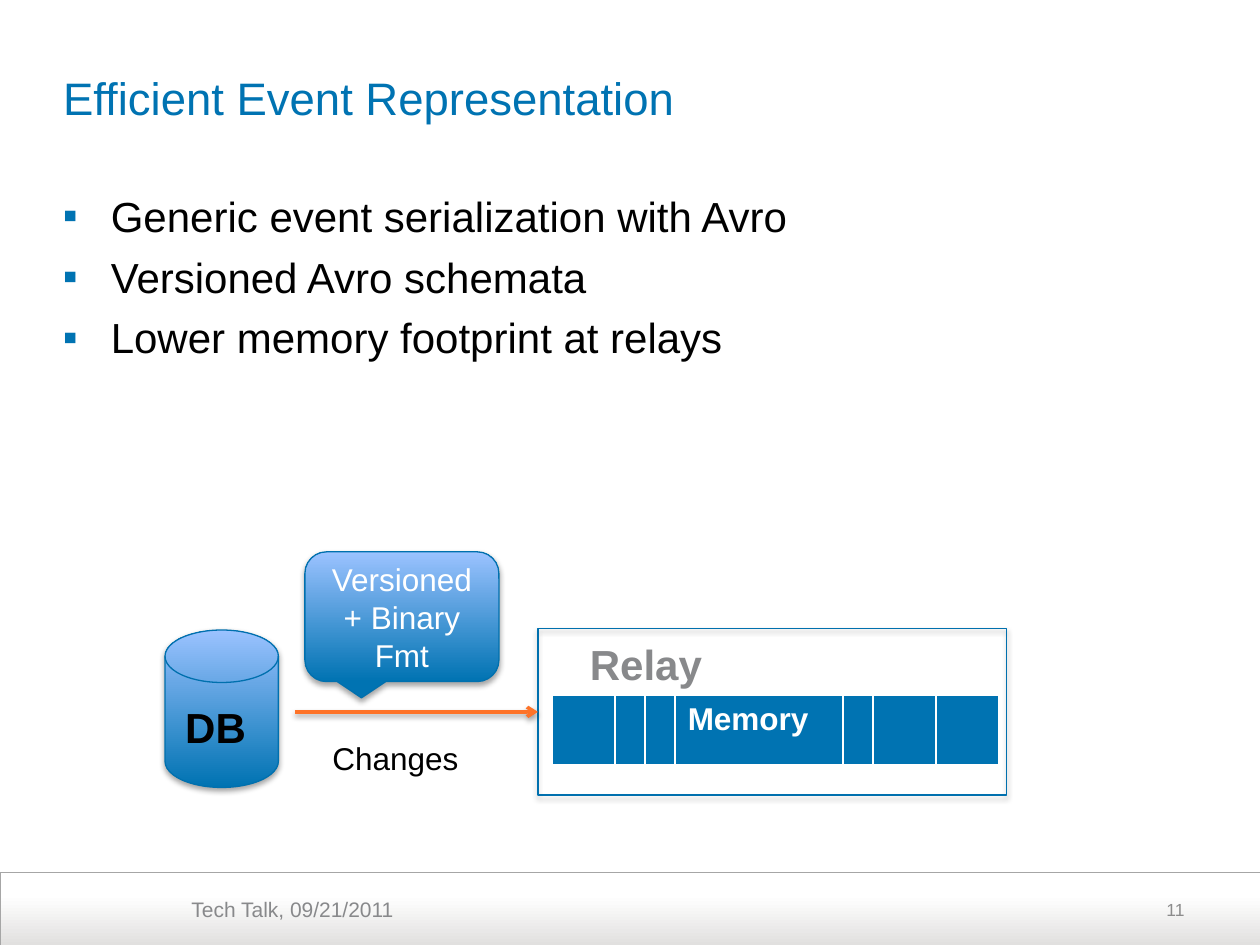
from lxml.etree import SubElement
from pptx import Presentation
from pptx.dml.color import RGBColor
from pptx.enum.shapes import MSO_CONNECTOR, MSO_SHAPE
from pptx.enum.text import MSO_ANCHOR, PP_ALIGN
from pptx.oxml.ns import qn
from pptx.util import Inches, Pt

BLUE = RGBColor(0x00, 0x73, 0xB2)
EDGE = RGBColor(0x00, 0x70, 0xAE)
SKY = RGBColor(0x9B, 0xC2, 0xFF)
ORANGE = RGBColor(0xFE, 0x73, 0x28)
WHITE = RGBColor(0xFF, 0xFF, 0xFF)
BLACK = RGBColor(0x00, 0x00, 0x00)
GRAY = RGBColor(0x88, 0x89, 0x8B)
PALE = RGBColor(0x8C, 0x8C, 0x8C)
SILVER = RGBColor(0xE1, 0xE0, 0xDF)
RIM = RGBColor(0xA6, 0xA6, 0xA6)


def place(shape, left, top, width, height):
    shape.left, shape.top = Inches(left), Inches(top)
    shape.width, shape.height = Inches(width), Inches(height)


def write(frame, lines, size, color, bold=False, align=PP_ALIGN.LEFT):
    frame.word_wrap = True
    frame.text = "\n".join(lines)
    for para in frame.paragraphs:
        para.alignment = align
        font = para.font
        font.name, font.size, font.bold = "Arial", Pt(size), bold
        font.color.rgb = color


def label(slide, box, text, size, color, inset=0.1, **style):
    shape = slide.shapes.add_textbox(*map(Inches, box))
    frame = shape.text_frame
    frame.margin_left = Inches(inset)
    write(frame, [text], size, color, **style)
    return frame


def shade(fill, low, high, stop=1.0):
    """Blend upwards from low to high."""
    fill.gradient()
    fill.gradient_angle = 90
    first, last = fill.gradient_stops
    first.color.rgb, first.position = low, 0
    last.color.rgb, last.position = high, stop


def cast(props, alpha):
    """Add a soft shadow below the part."""
    effects = props.find(qn("a:effectLst"))
    if effects is None:
        effects = SubElement(props, qn("a:effectLst"))
    shadow = SubElement(effects, qn("a:outerShdw"), blurRad="40000",
                        dist="23000", dir="5400000", rotWithShape="0")
    color = SubElement(shadow, qn("a:srgbClr"), val="000000")
    SubElement(color, qn("a:alpha"), val=str(alpha * 1000))


def block(slide, kind, box, filled=True):
    shape = slide.shapes.add_shape(kind, *map(Inches, box))
    if filled:
        shade(shape.fill, BLUE, SKY)
    else:
        shape.fill.background()
    shape.line.color.rgb, shape.line.width = EDGE, Pt(0.75)
    shape.shadow.inherit = False
    cast(shape.element.spPr, 35)
    return shape


def add_title(slide, box, text):
    title = slide.shapes.title
    place(title, *box)
    frame = title.text_frame
    frame.margin_left = frame.margin_right = 0
    frame.vertical_anchor = MSO_ANCHOR.MIDDLE
    write(frame, [text], 26, BLUE)


def add_list(slide, box, items):
    frame = slide.shapes.add_textbox(*map(Inches, box)).text_frame
    frame.margin_left = 0
    write(frame, items, 24, BLACK)
    for para in frame.paragraphs:
        para.space_before = Pt(6)
        props = para._p.get_or_add_pPr()
        props.set("marL", str(Inches(0.38)))
        props.set("indent", str(Inches(-0.38)))
        color = SubElement(props, qn("a:buClr"))
        SubElement(color, qn("a:srgbClr"), val=str(BLUE))
        SubElement(props, qn("a:buFont"), typeface="Arial")
        SubElement(props, qn("a:buChar"), char="▪")


def add_footer(slide, box, text, number):
    left, top, width, height = box
    bar = slide.shapes.add_shape(MSO_SHAPE.RECTANGLE, *map(Inches, box))
    shade(bar.fill, SILVER, WHITE, 0.68)
    bar.line.color.rgb, bar.line.width = RIM, Pt(0.25)
    bar.shadow.inherit = False
    label(slide, (left + 1.52, top + 0.15, 3.1, 0.34), text, 12, GRAY, 0)
    frame = label(slide, (left + width - 2.83, top + 0.1, 2.33, 0.4),
                  number, 10, PALE, align=PP_ALIGN.RIGHT)
    frame.vertical_anchor = MSO_ANCHOR.MIDDLE


def add_store(slide, box):
    left, top, width, height = box
    block(slide, MSO_SHAPE.FLOWCHART_MAGNETIC_DISK, box)
    label(slide, (left, top + 0.52, width, 0.5), "DB", 24, BLACK, 0,
          bold=True, align=PP_ALIGN.CENTER)


def add_memory(slide, box, widths, name, spot):
    frame = slide.shapes.add_table(1, len(widths), *map(Inches, box))
    table = frame.table
    table.rows[0].height = Inches(box[3])
    for index, width in enumerate(widths):
        table.columns[index].width = Inches(width)
        cell = table.cell(0, index)
        write(cell.text_frame, [name if index == spot else ""], 18, WHITE, True)
        props = cell._tc.get_or_add_tcPr()
        for side, points in (("L", 1), ("R", 1), ("T", 1), ("B", 3)):
            edge = SubElement(props, qn("a:ln" + side), w=str(Pt(points)))
            paint = SubElement(edge, qn("a:solidFill"))
            SubElement(paint, qn("a:srgbClr"), val=str(WHITE))
        cell.fill.solid()
        cell.fill.fore_color.rgb = BLUE


def add_relay(slide, box):
    left, top, width, height = box
    add_memory(slide, (left + 0.11, top + 0.53, 3.52, 0.56),
               (0.5, 0.23, 0.23, 1.33, 0.23, 0.5, 0.5), "Memory", 3)
    label(slide, (left + 0.31, top + 0.03, 1.19, 0.5), "Relay", 24, GRAY, 0,
          bold=True, align=PP_ALIGN.CENTER)
    block(slide, MSO_SHAPE.RECTANGLE, box, filled=False)


def add_flow(slide, box):
    left, top, width, height = box
    # Arrow from store to relay
    mid = top + 1.27
    arrow = slide.shapes.add_connector(
        MSO_CONNECTOR.STRAIGHT, Inches(left), Inches(mid),
        Inches(left + width), Inches(mid))
    arrow.line.color.rgb, arrow.line.width = ORANGE, Pt(2)
    props = arrow._element.spPr
    SubElement(props.find(qn("a:ln")), qn("a:tailEnd"), type="arrow")
    cast(props, 38)
    label(slide, (left + 0.2, mid + 0.17, 1.42, 0.4), "Changes", 18, BLACK)
    # Format callout
    note = block(slide, MSO_SHAPE.ROUNDED_RECTANGULAR_CALLOUT,
                 (left + 0.08, top, 1.54, 1.03))
    write(note.text_frame, ["Versioned + Binary Fmt"], 18, WHITE,
          align=PP_ALIGN.CENTER)
    note.text_frame.vertical_anchor = MSO_ANCHOR.MIDDLE


def main():
    deck = Presentation()
    deck.slide_width, deck.slide_height = Inches(10), Inches(7.5)
    slide = deck.slides.add_slide(deck.slide_layouts[5])
    add_footer(slide, (0, 6.92, 10, 0.58), "Tech Talk, 09/21/2011", "11")
    add_title(slide, (0.5, 0.22, 9, 1.1), "Efficient Event Representation")
    add_list(slide, (0.5, 1.46, 9, 5.2),
             ["Generic event serialization with Avro",
              "Versioned Avro schemata",
              "Lower memory footprint at relays"])
    add_store(slide, (1.31, 5, 0.9, 1.25))
    add_relay(slide, (4.27, 4.99, 3.72, 1.32))
    add_flow(slide, (2.34, 4.38, 1.93, 1.87))
    deck.save("out.pptx")


if __name__ == "__main__":
    main()
